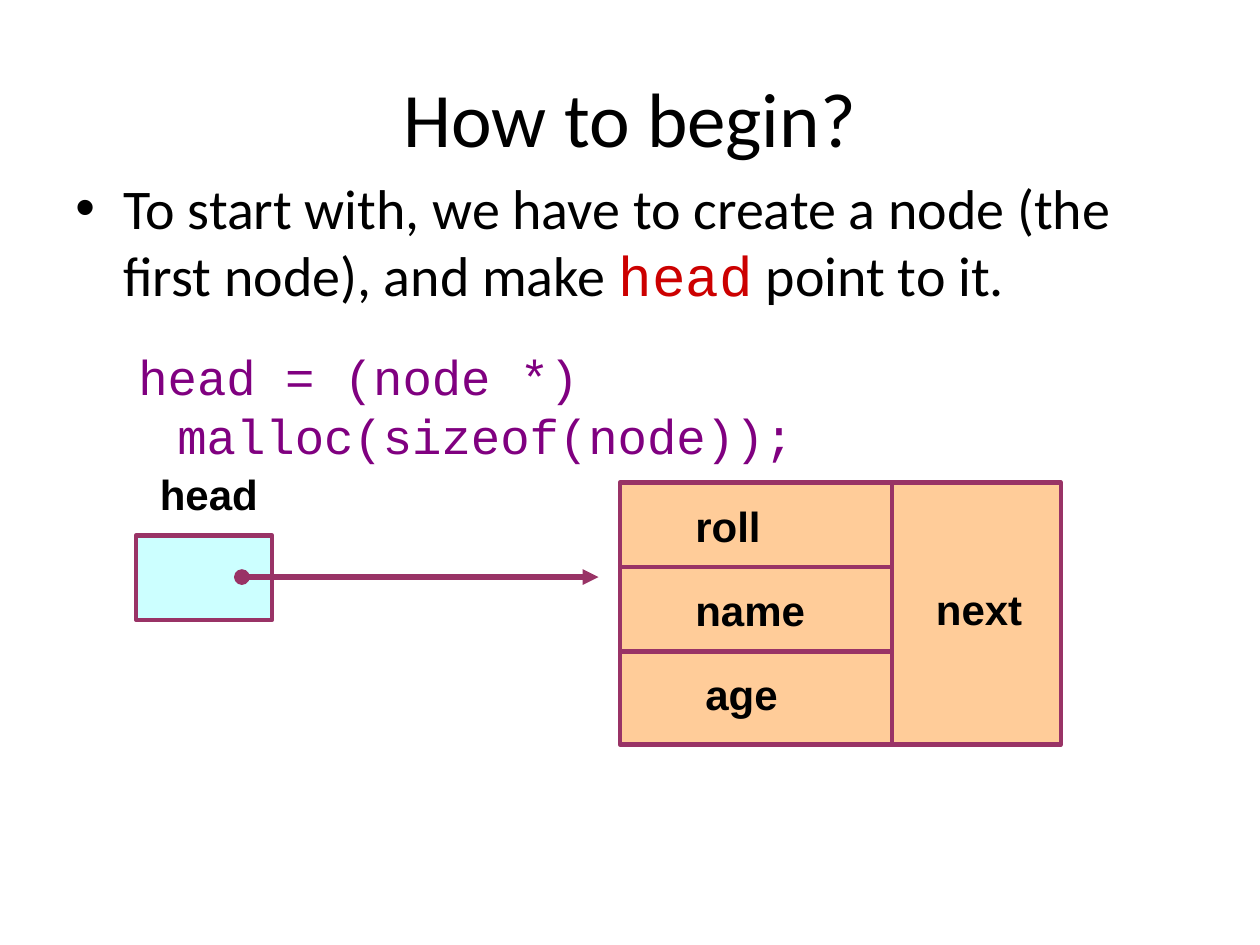
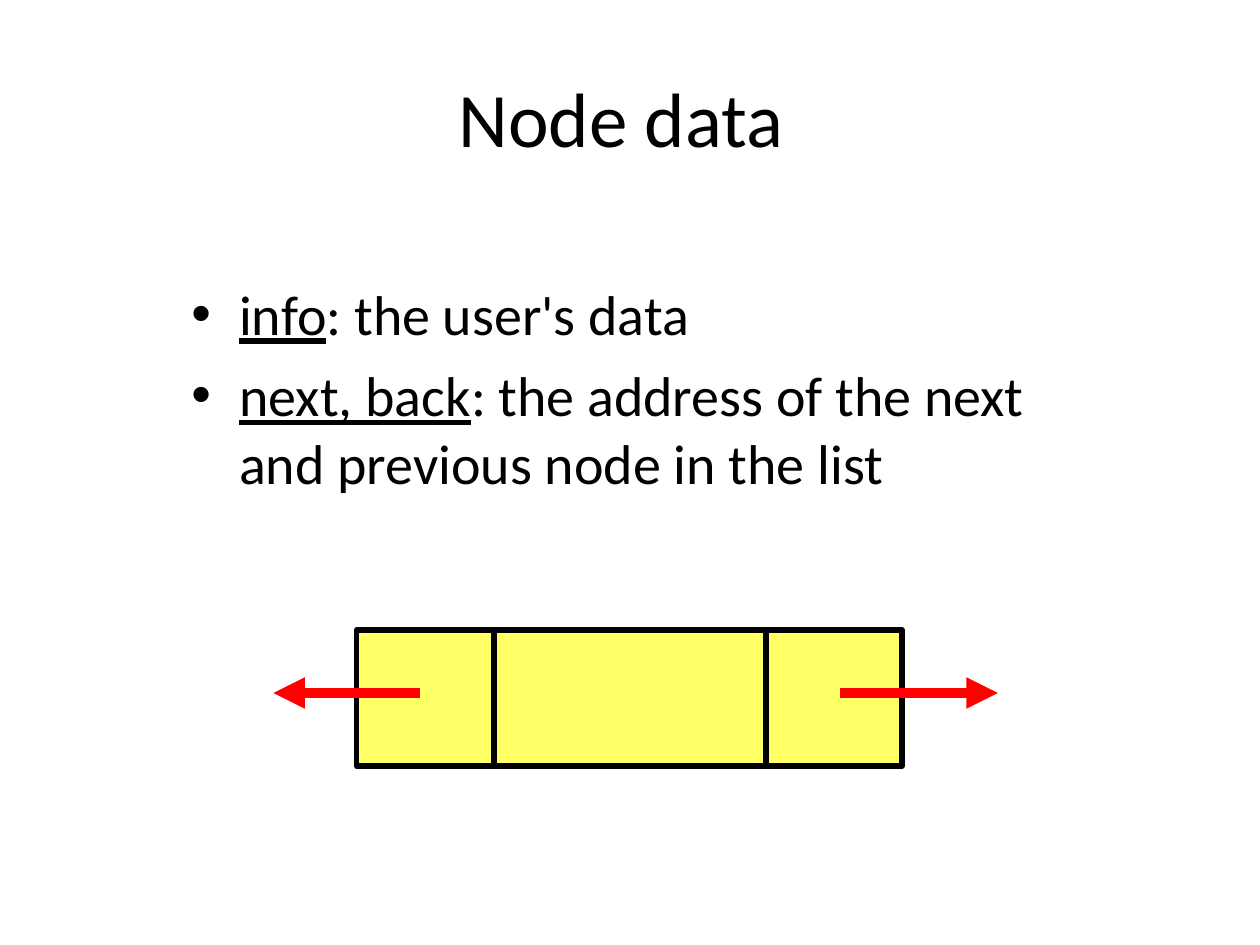
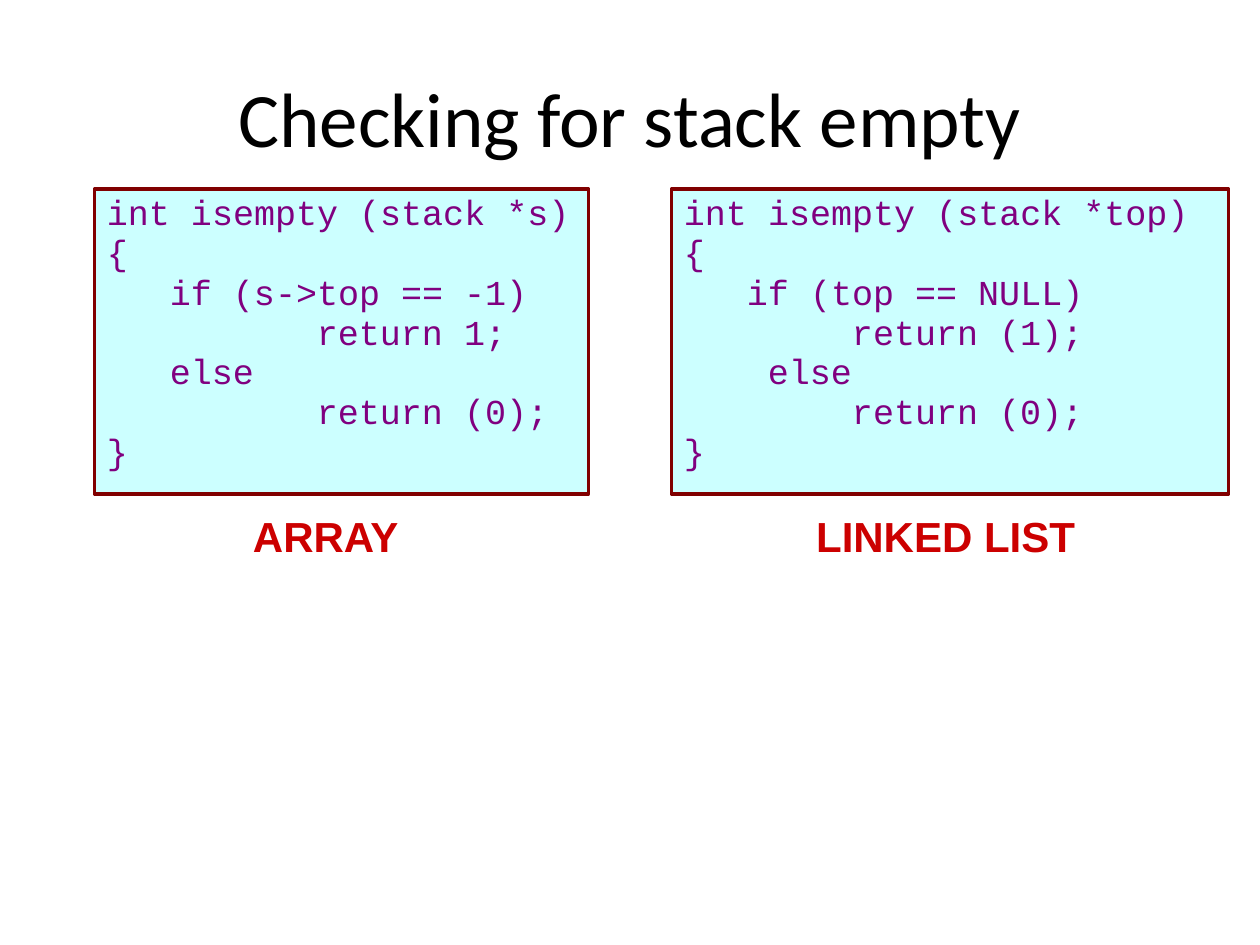
from dataclasses import dataclass
from typing import Optional

from lxml import etree
from pptx import Presentation
from pptx import util as u
from pptx.dml.color import RGBColor
from pptx.enum import shapes, text
from pptx.oxml.ns import qn

Inches, Pt = u.Inches, u.Pt


@dataclass(frozen=True)
class Theme:
    """Colours, fonts and type sizes of the deck."""
    ink: str = "000000"
    red: str = "CC0000"
    purple: str = "800080"
    plum: str = "993366"
    maroon: str = "800000"
    arrow: str = "FF0000"
    peach: str = "FFCC99"
    aqua: str = "CCFFFF"
    yellow: str = "FFFF66"
    body_font: str = "Calibri"
    code_font: str = "Courier New"
    label_font: str = "Arial"
    title_size: int = 44
    body_size: int = 32
    malloc_size: int = 28
    label_size: int = 24
    code_size: int = 20


THEME = Theme()


@dataclass(frozen=True)
class Box:
    left: float
    top: float
    width: float
    height: float

    def lengths(self) -> list:
        return [Inches(v) for v in (self.left, self.top, self.width, self.height)]


@dataclass(frozen=True)
class Span:
    words: str
    font: str = THEME.body_font
    size: int = THEME.body_size
    color: str = THEME.ink
    bold: bool = False
    underline: bool = False


@dataclass(frozen=True)
class Para:
    spans: tuple
    align: text.PP_ALIGN = text.PP_ALIGN.LEFT
    before: float = 0
    spacing: float = 1.0
    margin: float = 0
    indent: float = 0
    bullet: bool = False


@dataclass(frozen=True)
class Stroke:
    color: str
    width: float
    head: Optional[str] = None
    tail: Optional[str] = None


@dataclass(frozen=True)
class CodePanel:
    """A listing, given as (indent in characters, line), and its caption."""
    box: Box
    lines: tuple
    caption: str
    caption_box: Box


TITLE_BOX = Box(0.5, 0.3, 9, 1.25)
HANG = 0.38
CODE_CHAR = THEME.code_size * 0.6 / 72


def apply(target, values: dict) -> None:
    for name, value in values.items():
        setattr(target, name, value)


# Text
def add_bullet(props) -> None:
    color = etree.SubElement(props, qn("a:buClr"))
    etree.SubElement(color, qn("a:srgbClr"), val=THEME.ink)
    etree.SubElement(props, qn("a:buFont"), typeface=THEME.label_font)
    etree.SubElement(props, qn("a:buChar"), char="•")


def write(frame, paras: list, anchor=text.MSO_ANCHOR.TOP) -> None:
    apply(frame, {"word_wrap": True, "vertical_anchor": anchor})
    for number, item in enumerate(paras):
        para = frame.add_paragraph() if number else frame.paragraphs[0]
        apply(para, {"alignment": item.align, "space_before": Pt(item.before),
                     "line_spacing": item.spacing})
        props = para._p.get_or_add_pPr()
        props.set("marL", str(Inches(item.margin)))
        props.set("indent", str(Inches(item.indent)))
        if item.bullet:
            add_bullet(props)
        for span in item.spans:
            run = para.add_run()
            run.text = span.words
            apply(run.font, {"name": span.font, "size": Pt(span.size),
                             "bold": span.bold, "underline": span.underline})
            run.font.color.rgb = RGBColor.from_string(span.color)


def add_text(page, box: Box, paras: list, anchor=text.MSO_ANCHOR.TOP) -> None:
    write(page.shapes.add_textbox(*box.lengths()).text_frame, paras, anchor)


def add_label(page, words: str, box: Box, color: str = THEME.ink,
              align=text.PP_ALIGN.LEFT) -> None:
    span = Span(words, THEME.label_font, THEME.label_size, color, bold=True)
    add_text(page, box, [Para((span,), align)])


def bullet(*spans: Span) -> Para:
    return Para(spans, before=8, margin=HANG, indent=-HANG, bullet=True)


# Shapes and lines
def paint(line, stroke: Stroke) -> None:
    line.color.rgb = RGBColor.from_string(stroke.color)
    line.width = Pt(stroke.width)


def add_rect(page, box: Box, fill: str, stroke: Stroke):
    shape = page.shapes.add_shape(shapes.MSO_SHAPE.RECTANGLE, *box.lengths())
    shape.shadow.inherit = False
    shape.fill.solid()
    shape.fill.fore_color.rgb = RGBColor.from_string(fill)
    paint(shape.line, stroke)
    return shape


def add_line(page, start: tuple, end: tuple, stroke: Stroke) -> None:
    ends = [Inches(v) for v in start + end]
    line = page.shapes.add_connector(shapes.MSO_CONNECTOR.STRAIGHT, *ends)
    paint(line.line, stroke)
    outline = line.line._get_or_add_ln()
    for tag, kind in (("a:headEnd", stroke.head), ("a:tailEnd", stroke.tail)):
        if kind:
            etree.SubElement(outline, qn(tag), type=kind)
    etree.SubElement(line._element.spPr, qn("a:effectLst"))


def add_page(deck, title: str):
    page = deck.slides.add_slide(deck.slide_layouts[6])
    span = Span(title, size=THEME.title_size)
    add_text(page, TITLE_BOX, [Para((span,), text.PP_ALIGN.CENTER)],
             text.MSO_ANCHOR.MIDDLE)
    return page


# Slide 1: the first node
def build_begin(deck) -> None:
    page = add_page(deck, "How to begin?")
    malloc = Span("head = (node *) malloc(sizeof(node));",
                  THEME.code_font, THEME.malloc_size, THEME.purple)
    add_text(page, Box(0.5, 1.33, 9, 5.17), [
        bullet(Span("To start with, we have to create a node (the first node), and make "),
               Span("head", THEME.code_font, color=THEME.red),
               Span(" point to it.")),
        Para((malloc,), before=22, margin=0.81, indent=-0.31),
    ])

    edge = Stroke(THEME.plum, 2.5)
    node = Box(4.92, 3.83, 3.5, 2.08)
    split, row = 7.08, 0.67
    add_rect(page, node, THEME.peach, edge)
    add_line(page, (split, node.top), (split, node.top + node.height), edge)
    for number in (1, 2):
        y = node.top + number * row
        add_line(page, (node.left, y), (split, y), edge)
    for number, (field, left) in enumerate((("roll", 5.42), ("name", 5.42), ("age", 5.5))):
        add_label(page, field, Box(left, 3.92 + number * row, 1.67, 0.5))
    add_label(page, "next", Box(7.33, 4.58, 1.67, 0.5))

    add_rect(page, Box(1.08, 4.25, 1.08, 0.67), THEME.aqua, edge)
    add_label(page, "head", Box(1.17, 3.67, 1.17, 0.5))
    add_line(page, (1.92, 4.58), (4.75, 4.58), Stroke(THEME.plum, 3, "oval", "triangle"))


# Slide 2: a doubly linked node
def build_node_data(deck) -> None:
    page = add_page(deck, "Node data ")
    add_text(page, Box(1.42, 2.17, 7.5, 2), [
        bullet(Span(term, underline=True), Span(meaning)) for term, meaning in (
            ("info", ": the user's data"),
            ("next, back", ": the address of the next and previous node in the list"))
    ])
    edge = Stroke(THEME.ink, 3)
    node = Box(2.83, 5, 4.33, 1.08)
    add_rect(page, node, THEME.yellow, edge)
    for x in (3.92, 6.08):
        add_line(page, (x, node.top), (x, node.top + node.height), edge)
    for start, end in ((3.33, 2.17), (6.67, 7.92)):
        add_line(page, (start, 5.5), (end, 5.5), Stroke(THEME.arrow, 6, tail="triangle"))


# Slide 3: two versions of isempty
PANELS = (
    CodePanel(Box(0.75, 1.5, 3.92, 2.42),
              ((0, "int isempty (stack *s)"), (0, "{"), (3, "if (s->top == -1)"),
               (10, "return 1;"), (3, "else"), (10, "return (0);"), (0, "}")),
              "ARRAY", Box(1.67, 4, 1.83, 0.5)),
    CodePanel(Box(5.33, 1.5, 4.42, 2.42),
              ((0, "int isempty (stack *top)"), (0, "{"), (3, "if (top == NULL)"),
               (8, "return (1);"), (4, "else"), (8, "return (0);"), (0, "}")),
              "LINKED LIST", Box(5.92, 4, 3.17, 0.5)),
)


def build_stack_empty(deck) -> None:
    page = add_page(deck, "Checking for stack empty")
    for panel in PANELS:
        shape = add_rect(page, panel.box, THEME.aqua, Stroke(THEME.maroon, 2))
        write(shape.text_frame, [
            Para((Span(line, THEME.code_font, THEME.code_size, THEME.purple),),
                 before=1.2, spacing=0.9, margin=depth * CODE_CHAR)
            for depth, line in panel.lines])
        add_label(page, panel.caption, panel.caption_box, THEME.red, text.PP_ALIGN.CENTER)


def main() -> None:
    deck = Presentation()
    apply(deck, {"slide_width": Inches(10), "slide_height": Inches(7.5)})
    for build in (build_begin, build_node_data, build_stack_empty):
        build(deck)
    deck.save("out.pptx")


if __name__ == "__main__":
    main()
